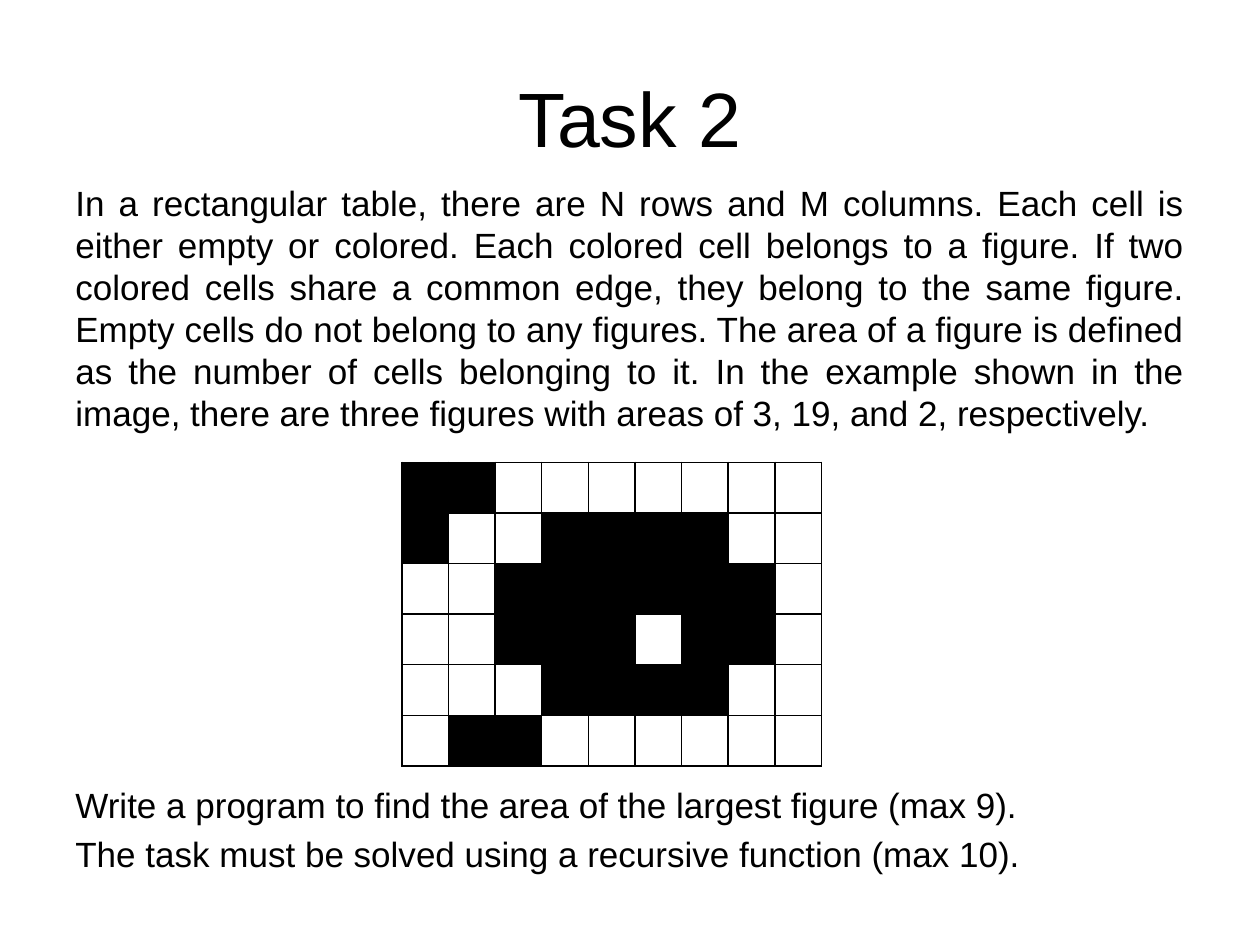
from dataclasses import dataclass

from lxml import etree
from pptx import Presentation
from pptx import util as u
from pptx.dml.color import RGBColor
from pptx.enum import text
from pptx.oxml import ns

BLACK = "000000"
FONT = "Arial"
COLUMN_WIDTH, ROW_HEIGHT = u.Cm(0.94), u.Cm(1.02)

# "#" marks a colored cell, "." an empty one.
FIGURES = (
    "##.......",
    "#..####..",
    "..######.",
    "..###.##.",
    "...####..",
    ".##......",
)


@dataclass
class Paragraph:
    wording: str
    size: float
    align: text.PP_ALIGN = text.PP_ALIGN.JUSTIFY
    space_before: float = 0


@dataclass
class TextBlock:
    top: float
    height: float
    anchor: text.MSO_ANCHOR
    paragraphs: list[Paragraph]


TITLE = TextBlock(0.76, 3.18, text.MSO_ANCHOR.MIDDLE, [
    Paragraph("Task 2", 44, text.PP_ALIGN.CENTER),
])
TASK = TextBlock(3.53, 15.21, text.MSO_ANCHOR.TOP, [
    Paragraph(
        "In a rectangular table, there are N rows and M columns. "
        "Each cell is either empty or colored. "
        "Each colored cell belongs to a figure. "
        "If two colored cells share a common edge, they belong to the same figure. "
        "Empty cells do not belong to any figures. "
        "The area of a figure is defined as the number of cells belonging to it. "
        "In the example shown in the image, there are three figures "
        "with areas of 3, 19, and 2, respectively.", 20),
    Paragraph("Write a program to find the area of the largest figure (max 9).",
              20, space_before=200),
    Paragraph("The task must be solved using a recursive function (max 10).",
              20, space_before=4),
])


def color(hex_value: str) -> RGBColor:
    return RGBColor.from_string(hex_value)


def add_text_block(slide, block: TextBlock) -> None:
    box = slide.shapes.add_textbox(
        u.Cm(1.27), u.Cm(block.top), u.Cm(22.86), u.Cm(block.height))
    frame = box.text_frame
    frame.word_wrap = True
    frame.vertical_anchor = block.anchor
    for index, item in enumerate(block.paragraphs):
        paragraph = frame.add_paragraph() if index else frame.paragraphs[0]
        paragraph.text = item.wording
        paragraph.alignment = item.align
        paragraph.space_before = u.Pt(item.space_before)
        paragraph.font.name = FONT
        paragraph.font.size = u.Pt(item.size)
        paragraph.font.color.rgb = color(BLACK)


def add_borders(cell, hex_value: str, width: float) -> None:
    properties = cell._tc.get_or_add_tcPr()
    for side in ("lnL", "lnR", "lnT", "lnB"):
        line = etree.SubElement(properties, ns.qn(f"a:{side}"), w=str(u.Pt(width)))
        fill = etree.SubElement(line, ns.qn("a:solidFill"))
        etree.SubElement(fill, ns.qn("a:srgbClr"), val=hex_value)


def add_figure_grid(slide, rows: tuple[str, ...]) -> None:
    row_count, column_count = len(rows), len(rows[0])
    grid = slide.shapes.add_table(
        row_count, column_count, u.Cm(8.1), u.Cm(9.32),
        COLUMN_WIDTH * column_count, ROW_HEIGHT * row_count).table
    grid.first_row = grid.horz_banding = False
    for column in grid.columns:
        column.width = COLUMN_WIDTH
    for row, marks in zip(grid.rows, rows):
        row.height = ROW_HEIGHT
        for cell, mark in zip(row.cells, marks):
            cell.text_frame.paragraphs[0].font.size = u.Pt(12)
            add_borders(cell, BLACK, 1)
            if mark == "#":
                cell.fill.solid()
                cell.fill.fore_color.rgb = color(BLACK)
            else:
                cell.fill.background()


def main() -> None:
    deck = Presentation()
    deck.slide_width, deck.slide_height = u.Cm(25.4), u.Cm(19.05)
    slide = deck.slides.add_slide(deck.slide_layouts[6])
    add_text_block(slide, TITLE)
    add_text_block(slide, TASK)
    add_figure_grid(slide, FIGURES)
    deck.save("out.pptx")


if __name__ == "__main__":
    main()
